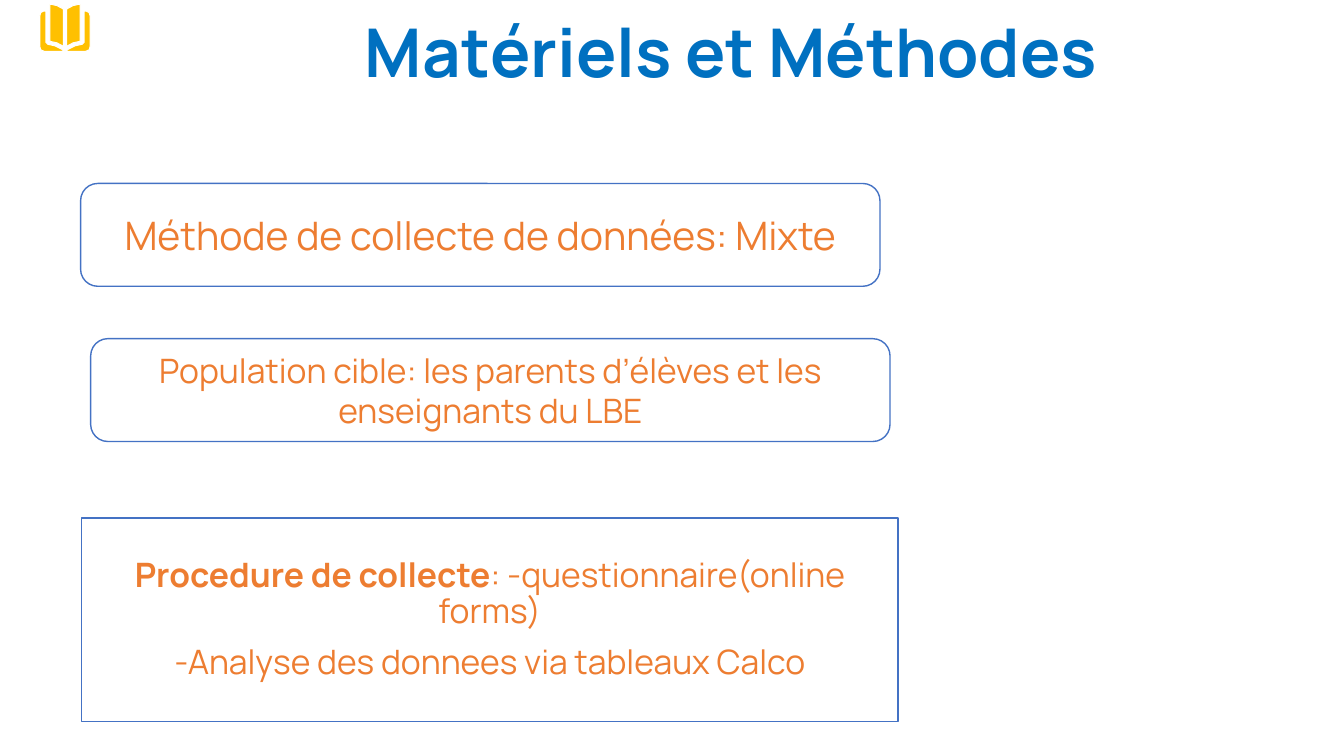
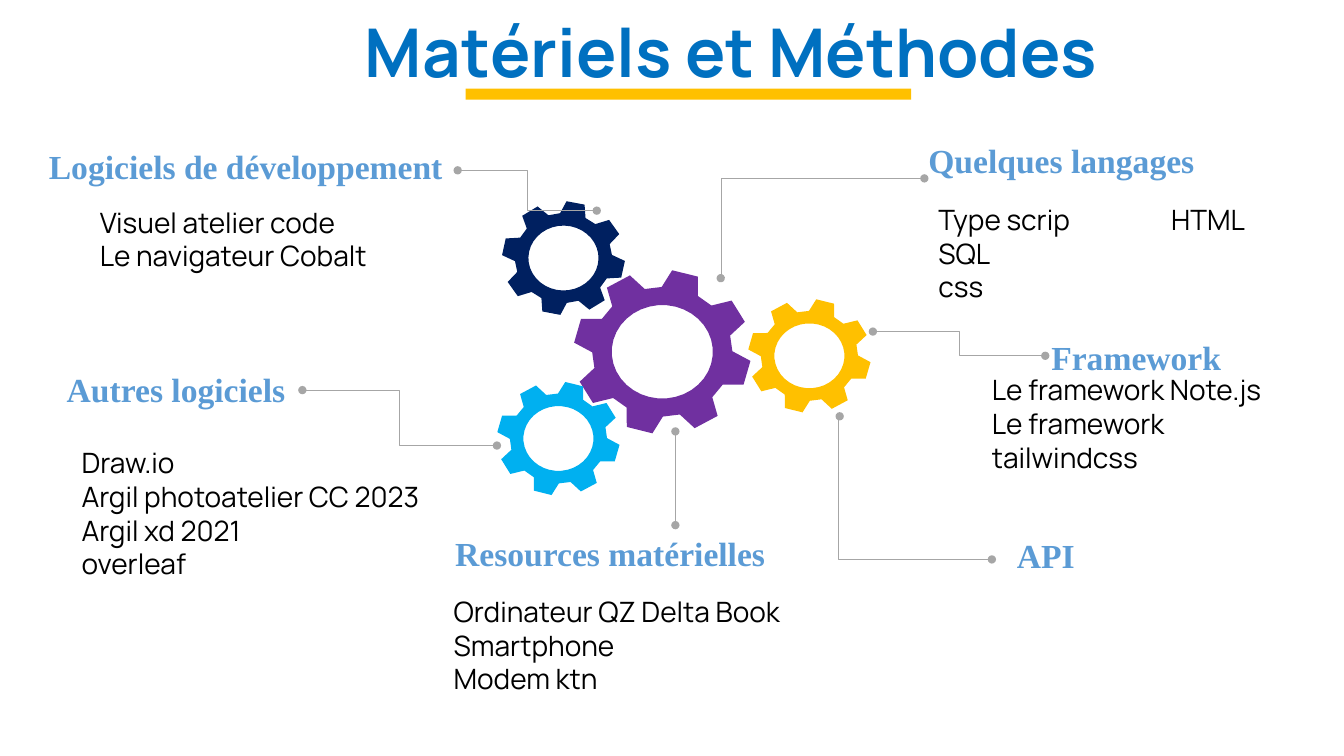
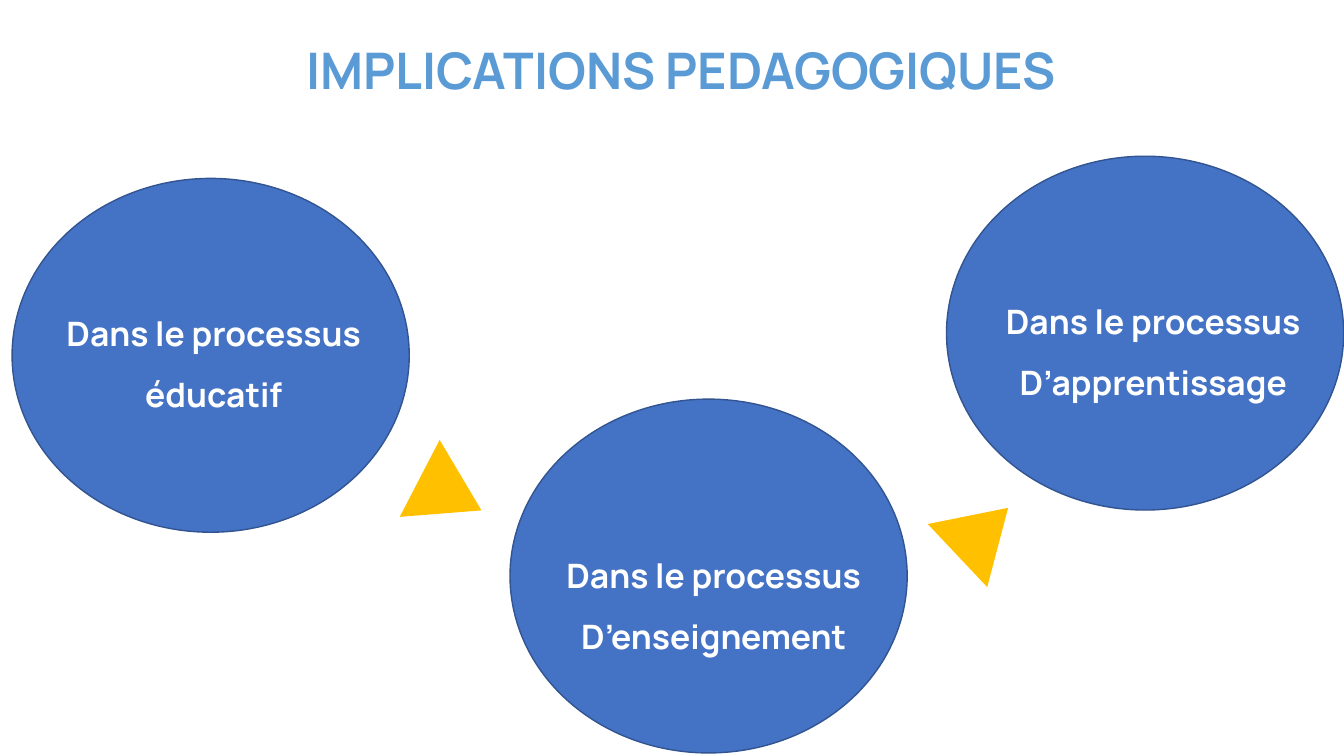
from math import cos, sin, radians

from pptx import Presentation, util as u
from pptx.dml.color import RGBColor
from pptx.enum import shapes as kinds, text as txt
from pptx.oxml import parse_xml
from pptx.oxml.ns import nsdecls, qn


class Theme:
    head, label, body = "0070C0", "5B9BD5", "000000"
    blue, edge, gold, white = "4472C4", "325491", "FFC000", "FFFFFF"
    accent, wire = "ED7D31", "A6A6A6"
    navy, violet, sky = "002060", "7030A0", "00B0F0"
    sans, serif = "Manrope", "Times New Roman"
    huge, big, large, mid, small = 48, 36, 28, 24, 20


CELL = u.Inches(0.1)
LEFT, MID, RIGHT = txt.PP_ALIGN.LEFT, txt.PP_ALIGN.CENTER, txt.PP_ALIGN.RIGHT
TOP, HALF = txt.MSO_ANCHOR.TOP, txt.MSO_ANCHOR.MIDDLE
KIND = kinds.MSO_SHAPE
RGB = RGBColor.from_string


def at(*cells):
    return [round(n * CELL) for n in cells]


def write(box, lines, size, tint, face=Theme.sans, bold=False, align=LEFT,
          lead=None, gap=0, pad=(1, 0.5, 1, 0.5), anchor=HALF, tab=None):
    frame = box.text_frame
    frame.word_wrap = True
    frame.auto_size = txt.MSO_AUTO_SIZE.NONE
    frame.vertical_anchor = anchor
    (frame.margin_left, frame.margin_top,
     frame.margin_right, frame.margin_bottom) = at(*pad)
    for i, line in enumerate(lines):
        par = frame.add_paragraph() if i else frame.paragraphs[0]
        par.text = line
        par.alignment = align
        par.line_spacing = lead
        par.space_before = u.Pt(gap if i else 0)
        if "\t" in line:
            par._p.get_or_add_pPr().append(parse_xml(
                f'<a:tabLst {nsdecls("a")}><a:tab pos="{at(tab)[0]}" algn="l"/></a:tabLst>'))
        font = par.font
        font.name, font.size, font.bold = face, u.Pt(size), bold
        font.color.rgb = RGB(tint)


prs = Presentation()
prs.slide_width, prs.slide_height = at(133.33, 75)

main = ("Matériels et Méthodes", (35.2, 0.4, 79.3, 10.2), Theme.huge,
        Theme.head, LEFT, 0.9, (1, 1, 1, 1), HALF)
last = ("IMPLICATIONS PEDAGOGIQUES", (14.3, 0.4, 96.6, 9.1), Theme.big,
        Theme.label, MID, 1.5, (11, 0.5, 1, 0.5), TOP)
pages = []
for form, (name, area, size, tint, align, lead, pad, anchor) in (
        (0, main), (5, main), (5, last)):
    page = prs.slides.add_slide(prs.slide_layouts[form])
    title = page.shapes.title
    title.left, title.top, title.width, title.height = at(*area)
    write(title, [name], size, tint, bold=True, align=align, lead=lead,
          pad=pad, anchor=anchor)
    pages.append(page)
plan, tools, goals = pages

sub = plan.placeholders[1]
sub.left, sub.top, sub.width, sub.height = at(8.1, 51.4, 81, 20.2)
write(sub, ["", "-Analyse des donnees via tableaux Calco"], Theme.mid,
      Theme.accent, align=MID, lead=0.9, gap=10)
for part, bold in (("Procedure de collecte", True),
                   (": -questionnaire(online forms)", False)):
    run = sub.text_frame.paragraphs[0].add_run()
    run.text, run.font.bold = part, bold
cards = [sub]
for x, y, line, size in (
        (8, 18.2, "Méthode de collecte de données: Mixte", Theme.large),
        (9, 33.6, "Population cible: les parents d’élèves et les enseignants du LBE", Theme.mid)):
    card = plan.shapes.add_shape(KIND.ROUNDED_RECTANGLE, *at(x, y, 79.3, 10.2))
    card.shadow.inherit = False
    write(card, [line], size, Theme.accent, align=MID)
    cards.append(card)
for card in cards:
    card.fill.solid()
    card.fill.fore_color.rgb = RGB(Theme.white)
    card.line.color.rgb = RGB(Theme.blue)
    card.line.width = u.Pt(1)

cover = [(1.9, 1.1), (1.9, 4.2), (1.7, 4.4), (1, 4.55), (0.3, 4.9), (0.05, 5.1),
         (2.05, 5.1), (2.4, 4.95), (2.5, 4.6), (2.5, 1.6), (2.4, 1.25), (2.1, 1.1)]
leaf = [(1.5, 0.4), (0.8, 0.55), (0.15, 0.9), (0.15, 4.6), (0.8, 4.25), (1.5, 4.1)]
for side in (-1, 1):
    for edge in (cover, leaf):
        dots = [at(6.45 + side * x, y) for x, y in edge]
        pen = plan.shapes.build_freeform(*dots[0], scale=1)
        pen.add_line_segments(dots[1:])
        book = pen.convert_to_shape()
        book.shadow.inherit = False
        book.fill.solid()
        book.fill.fore_color.rgb = RGB(Theme.gold)
        book.line.color.rgb = RGB(Theme.white)
        book.line.width = u.Pt(0.75)

tooth = [(-15.5, 0.79), (-8.6, 1), (8.6, 1), (15.5, 0.79)]
rim = [(45 * n + turn, r) for n in range(8) for turn, r in tooth]
hole = [(10 * n, 0.57) for n in range(36)]
for x, y, size, tilt, tint in ((65.7, 34.9, 8.8, 15, Theme.violet),
                               (80.3, 35.3, 6.1, 15, Theme.gold),
                               (55.9, 25.6, 6.1, 11.5, Theme.navy),
                               (55.4, 43.5, 6.1, 15, Theme.sky)):
    loops = [[at(x + size * r * sin(radians(a + tilt)),
                 y - 0.925 * size * r * cos(radians(a + tilt))) for a, r in ring]
             for ring in (rim, hole)]
    pen = tools.shapes.build_freeform(*loops[0][0], scale=1)
    pen.add_line_segments(loops[0][1:])
    pen.move_to(*loops[1][0])
    pen.add_line_segments(loops[1][1:])
    gear = pen.convert_to_shape()
    gear.shadow.inherit = False
    gear.fill.solid()
    gear.fill.fore_color.rgb = RGB(tint)
    gear.line.fill.background()

inset = (0, 0.5, 1, 0.5)
for x, y, wide, align, name in (
        (1, 14, 43.9, RIGHT, "Logiciels de développement"),
        (1, 36.1, 28.3, RIGHT, "Autres logiciels"),
        (92.1, 13.4, 40, LEFT, "Quelques langages"),
        (104.3, 32.9, 19.4, LEFT, "Framework"),
        (37.5, 52.4, 39.4, RIGHT, "Resources matérielles"),
        (94.3, 52.6, 13.3, RIGHT, "API")):
    label = tools.shapes.add_textbox(*at(x, y, wide, 5))
    write(label, [name], Theme.mid, Theme.label, Theme.serif, True, align, pad=inset)

for x, y, wide, rows, lines in (
        (9.9, 19.8, 46.6, 2, ["Visuel atelier code", "Le navigateur Cobalt"]),
        (8.1, 43.6, 46.6, 4, ["Draw.io", "Argil photoatelier CC 2023", "Argil xd 2021", "overleaf"]),
        (93.1, 19.5, 39.7, 3, ["Type scrip\tHTML", "SQL", "css"]),
        (98.4, 36.4, 32.5, 3, ["Le framework Note.js", "Le framework tailwindcss"]),
        (45, 58.4, 46.6, 3, ["Ordinateur QZ Delta Book", "Smartphone", "Modem ktn"])):
    note = tools.shapes.add_textbox(*at(x, y, wide, 1 + 3.4 * rows))
    write(note, lines, Theme.small, Theme.body, pad=inset, tab=23.1)

bend, flat = kinds.MSO_CONNECTOR.ELBOW, kinds.MSO_CONNECTOR.STRAIGHT
for kind, ends, knee in ((bend, (71.5, 27.6, 91.7, 17.7), 500),
                         (bend, (103.7, 35.3, 86.6, 32.9), 50000),
                         (bend, (30, 38.7, 49.3, 44.2), 50000),
                         (bend, (45.4, 16.9, 59.2, 20.9), 50000),
                         (flat, (67, 42.8, 67, 52.1), None),
                         (bend, (83.3, 41.3, 98.4, 55.5), -900)):
    wire = tools.shapes.add_connector(kind, *at(*ends))
    wire.line.color.rgb = RGB(Theme.wire)
    wire.line.width = u.Pt(0.5)
    props = wire._element.spPr
    for tip in ("headEnd", "tailEnd"):
        props.find(qn("a:ln")).append(parse_xml(f'<a:{tip} {nsdecls("a")} type="oval"/>'))
    props.append(parse_xml(f'<a:effectLst {nsdecls("a")}/>'))
    if knee is not None:
        props.find(".//" + qn("a:avLst")).append(parse_xml(
            f'<a:gd {nsdecls("a")} name="adj1" fmla="val {knee}"/>'))

disc = (39.4, 35.1)
wedge = (8.6, 6.9)
for page, kind, area, turn, tint, edge in (
        (tools, KIND.RECTANGLE, (46.2, 8.8, 44.2, 1.1), 0, Theme.gold, None),
        (goals, KIND.OVAL, (93.9, 15.5, *disc), 0, Theme.blue, Theme.edge),
        (goals, KIND.OVAL, (50.6, 39.6, *disc), 0, Theme.blue, Theme.edge),
        (goals, KIND.OVAL, (1.2, 17.7, *disc), 0, Theme.blue, Theme.edge),
        (goals, KIND.ISOSCELES_TRIANGLE, (40.4, 45.6, *wedge), 117.4, Theme.gold, None),
        (goals, KIND.ISOSCELES_TRIANGLE, (93.2, 49.3, *wedge), 46.7, Theme.gold, None)):
    form = page.shapes.add_shape(kind, *at(*area))
    form.shadow.inherit = False
    form.rotation = turn
    form.fill.solid()
    form.fill.fore_color.rgb = RGB(tint)
    if edge:
        form.line.color.rgb = RGB(edge)
        form.line.width = u.Pt(1)
    else:
        form.line.fill.background()

span = 36
for core, y, lines in (
        (21.2, 28.6, ["Dans le processus éducatif"]),
        (70.8, 52.6, ["Dans le processus", "D’enseignement"]),
        (114.4, 27.4, ["Dans le processus", "D’apprentissage"])):
    note = goals.shapes.add_textbox(*at(core - span / 2, y, span, 12.4))
    write(note, lines, Theme.mid, Theme.white, bold=True, align=MID, lead=1.5,
          anchor=TOP)

prs.save("out.pptx")
